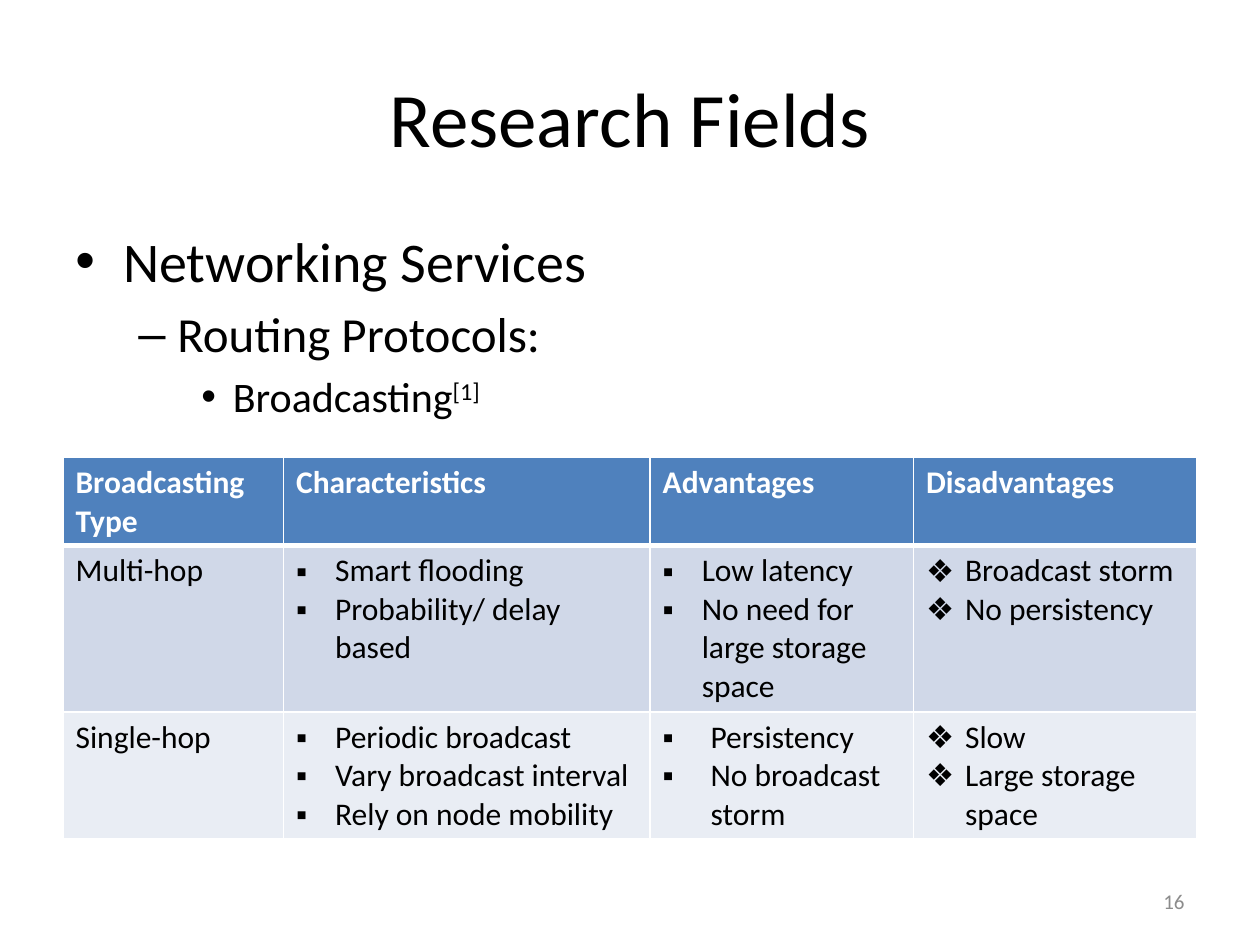
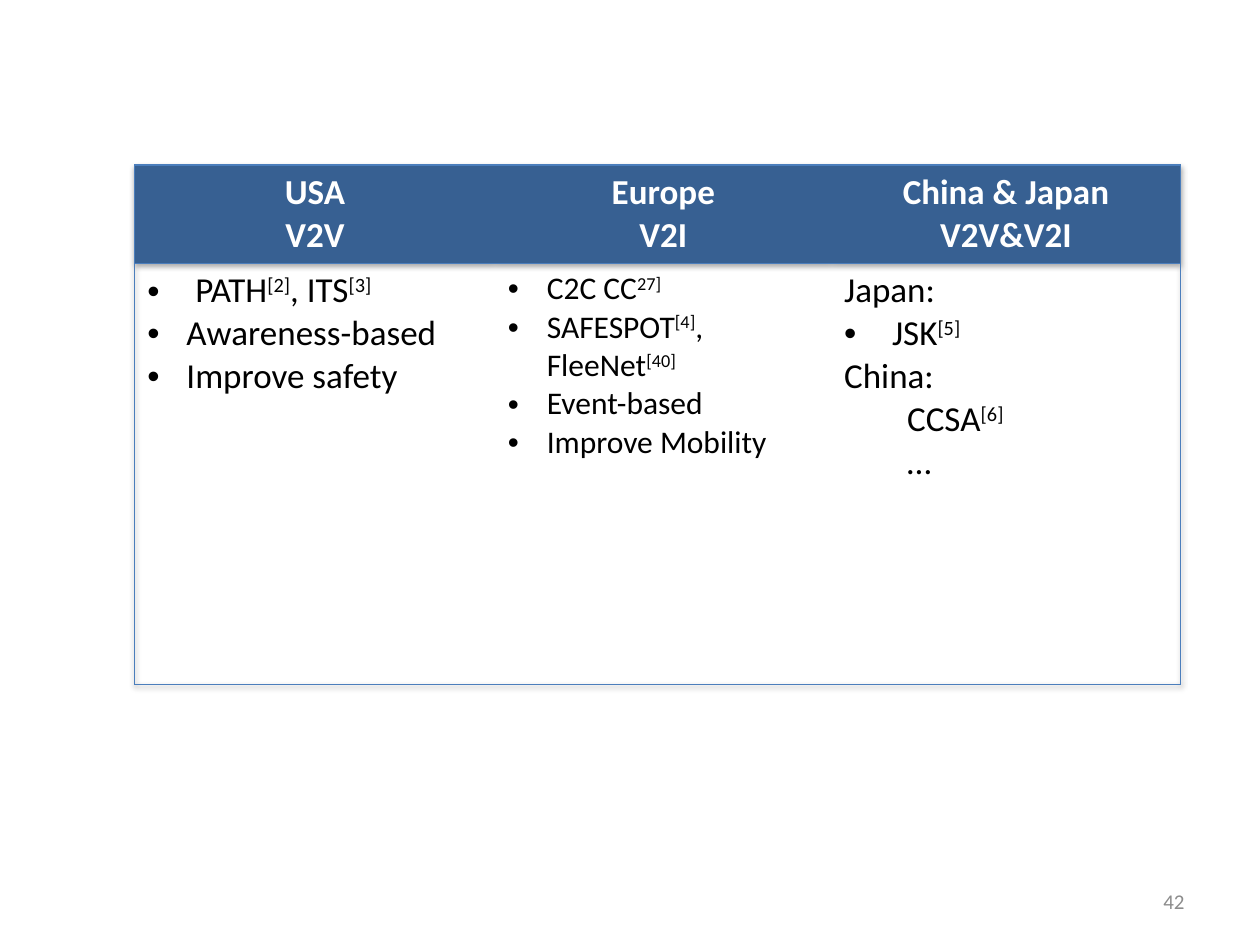
from lxml import etree
from pptx import Presentation
from pptx.dml.color import RGBColor
from pptx.enum.text import MSO_ANCHOR, PP_ALIGN
from pptx.oxml.ns import qn
from pptx.util import Inches, Pt

LEFT, CENTER, RIGHT = PP_ALIGN.LEFT, PP_ALIGN.CENTER, PP_ALIGN.RIGHT
TOP, MIDDLE = MSO_ANCHOR.TOP, MSO_ANCHOR.MIDDLE

FONT = "Calibri"
COLORS = {
    "black": "000000", "white": "FFFFFF", "number": "8C8C8C",
    "header": "4F81BD", "odd_row": "D0D8E8", "even_row": "E9EDF4",
    "region_header": "376092", "region_line": "4B7EBC",
}
NO_STYLE = "{2D5ABB26-0587-4C30-8999-92F81FD0307C}"

# Paragraph kinds: bullet character, left margin and hanging indent in inches
KINDS = {
    "plain": ("", 0, 0),
    "indented": ("", 0.5, 0),
    "level_1": ("•", 0.38, 0.38),
    "level_2": ("–", 0.81, 0.31),
    "level_3": ("•", 1.25, 0.25),
    "dot": ("•", 0.31, 0.31),
    "square": ("▪", 0.31, 0.31),
    "wide_square": ("▪", 0.38, 0.38),
    "diamond": ("❖", 0.31, 0.31),
}


def add_element(parent, tag, **attributes):
    values = {name: str(value) for name, value in attributes.items()}
    return etree.SubElement(parent, qn(tag), values)


def lines(kind, *texts):
    """Give every text the same paragraph kind."""
    return [(kind, text) for text in texts]


class Deck:
    def __init__(self):
        self.presentation = Presentation()
        self.presentation.slide_width = Inches(10)
        self.presentation.slide_height = Inches(7.5)
        self.slide = None

    def new_slide(self, number):
        blank_layout = self.presentation.slide_layouts[6]
        self.slide = self.presentation.slides.add_slide(blank_layout)
        self.text_box((7.17, 6.95, 2.33, 0.4), lines("plain", number), anchor=MIDDLE,
                      size=12, color="number", align=RIGHT)

    def title(self, text):
        self.text_box((0.5, 0.3, 9, 1.25), lines("plain", text), anchor=MIDDLE,
                      size=44, align=CENTER)

    def text_box(self, box, items, anchor=TOP, **style):
        shape = self.slide.shapes.add_textbox(*map(Inches, box))
        frame = shape.text_frame
        frame.word_wrap = True
        frame.vertical_anchor = anchor
        self.fill_text(frame, items, **style)

    def fill_text(self, frame, items, size=18, color="black", bold=False, align=LEFT,
                  space_before=0):
        """Fill a frame; text between ^ marks is superscript, a list gives one size per line."""
        sizes = size if isinstance(size, list) else [size] * len(items)
        for index, ((kind, text), points) in enumerate(zip(items, sizes)):
            paragraph = frame.add_paragraph() if index else frame.paragraphs[0]
            paragraph.alignment = align
            self.indent(paragraph, kind, space_before)
            font_format = {"name": FONT, "size": Pt(points), "bold": bold}
            for part, piece in enumerate(text.split("^")):
                if not piece:
                    continue
                run = paragraph.add_run()
                run.text = piece
                for name, value in font_format.items():
                    setattr(run.font, name, value)
                run.font.color.rgb = RGBColor.from_string(COLORS[color])
                if part % 2:
                    run._r.get_or_add_rPr().set("baseline", "30000")

    def indent(self, paragraph, kind, space_before):
        bullet, margin, hanging = KINDS[kind]
        properties = paragraph._p.get_or_add_pPr()
        properties.set("marL", str(Inches(margin)))
        properties.set("indent", str(-Inches(hanging)))
        if space_before:
            spacing = add_element(properties, "a:spcBef")
            add_element(spacing, "a:spcPct", val=space_before * 1000)
        if bullet:
            add_element(properties, "a:buFont", typeface="Arial")
            add_element(properties, "a:buChar", char=bullet)

    def table(self, position, widths, heights):
        size = sum(widths), sum(heights)
        frame = self.slide.shapes.add_table(
            len(heights), len(widths), *map(Inches, position + size))
        table = frame.table
        table.first_row = table.horz_banding = False
        table._tbl.tblPr.find(qn("a:tableStyleId")).text = NO_STYLE
        for column, width in zip(table.columns, widths):
            column.width = Inches(width)
        for row, height in zip(table.rows, heights):
            row.height = Inches(height)
        return table

    def cell(self, cell, items, fill=None, borders=None, **style):
        """Fill a cell; borders maps the sides L, R, T, B to (color, points)."""
        properties = cell._tc.get_or_add_tcPr()
        for side in "LRTB":
            if side in (borders or {}):
                color, points = borders[side]
                line = add_element(properties, "a:ln" + side, w=Pt(points))
                solid = add_element(line, "a:solidFill")
                add_element(solid, "a:srgbClr", val=COLORS[color])
        if fill:
            cell.fill.solid()
            cell.fill.fore_color.rgb = RGBColor.from_string(COLORS[fill])
        else:
            cell.fill.background()
        self.fill_text(cell.text_frame, items, **style)

    def table_shadow(self, table):
        properties = table._tbl.tblPr
        effects = etree.Element(qn("a:effectLst"))
        properties.insert(0, effects)
        shadow = add_element(effects, "a:outerShdw", blurRad=40000, dist=23000,
                             dir=5400000, rotWithShape=0)
        color = add_element(shadow, "a:srgbClr", val=COLORS["black"])
        add_element(color, "a:alpha", val=35000)


def research_fields(deck):
    deck.new_slide("16")
    deck.title("Research Fields")
    outline = [("level_1", "Networking Services"), ("level_2", "Routing Protocols:"),
               ("level_3", "Broadcasting^[1]^")]
    deck.text_box((0.5, 1.75, 9, 4.95), outline, size=[32, 28, 24], space_before=20)

    rows = [
        [lines("plain", heading) for heading in
         ("Broadcasting Type", "Characteristics", "Advantages", "Disadvantages")],
        [lines("plain", "Multi-hop"),
         lines("square", "Smart flooding", "Probability/ delay based"),
         lines("square", "Low latency", "No need for large storage space"),
         lines("diamond", "Broadcast storm", "No persistency")],
        [lines("plain", "Single-hop"),
         lines("square", "Periodic broadcast", "Vary broadcast interval",
               "Rely on node mobility"),
         lines("wide_square", "Persistency", "No broadcast storm"),
         lines("diamond", "Slow", "Large storage space")],
    ]
    table = deck.table((0.5, 3.63), (1.75, 2.91, 2.09, 2.25), (0.7, 1.32, 1.01))
    thin, thick = ("white", 1), ("white", 3)
    for row, (items, fill) in enumerate(zip(rows, ("header", "odd_row", "even_row"))):
        is_header = row == 0
        borders = {"L": thin, "R": thin, "T": thick if row == 1 else thin,
                   "B": thick if is_header else thin}
        for column, content in enumerate(items):
            deck.cell(table.cell(row, column), content, fill, borders, bold=is_header,
                      color="white" if is_header else "black")


def regional_projects(deck):
    deck.new_slide("42")
    regions = [
        (("USA", "V2V"), 20,
         lines("level_1", "PATH^[2]^, ITS^[3]^")
         + lines("dot", "Awareness-based", "Improve safety")),
        (("Europe", "V2I"), 18,
         lines("dot", "C2C CC^27]^", "SAFESPOT^[4]^, FleeNet^[40]^", "Event-based",
               "Improve Mobility")),
        (("China & Japan", "V2V&V2I"), 20,
         [("plain", "Japan:"), ("level_1", "JSK^[5]^"), ("plain", "China:"),
          ("indented", "CCSA^[6]^"), ("indented", "…")]),
    ]
    table = deck.table((1.07, 1.31), (2.86, 2.67, 2.77), (0.78, 3.34))
    deck.table_shadow(table)
    line = ("region_line", 0.75)
    outer_sides = ("L", "", "R")
    for column, (heading, size, projects) in enumerate(regions):
        borders = dict.fromkeys("TB" + outer_sides[column], line)
        deck.cell(table.cell(0, column), lines("plain", *heading), "region_header",
                  borders, size=20, color="white", bold=True, align=CENTER)
        deck.cell(table.cell(1, column), projects, None, borders, size=size)


def main():
    deck = Deck()
    research_fields(deck)
    regional_projects(deck)
    deck.presentation.save("out.pptx")


if __name__ == "__main__":
    main()
